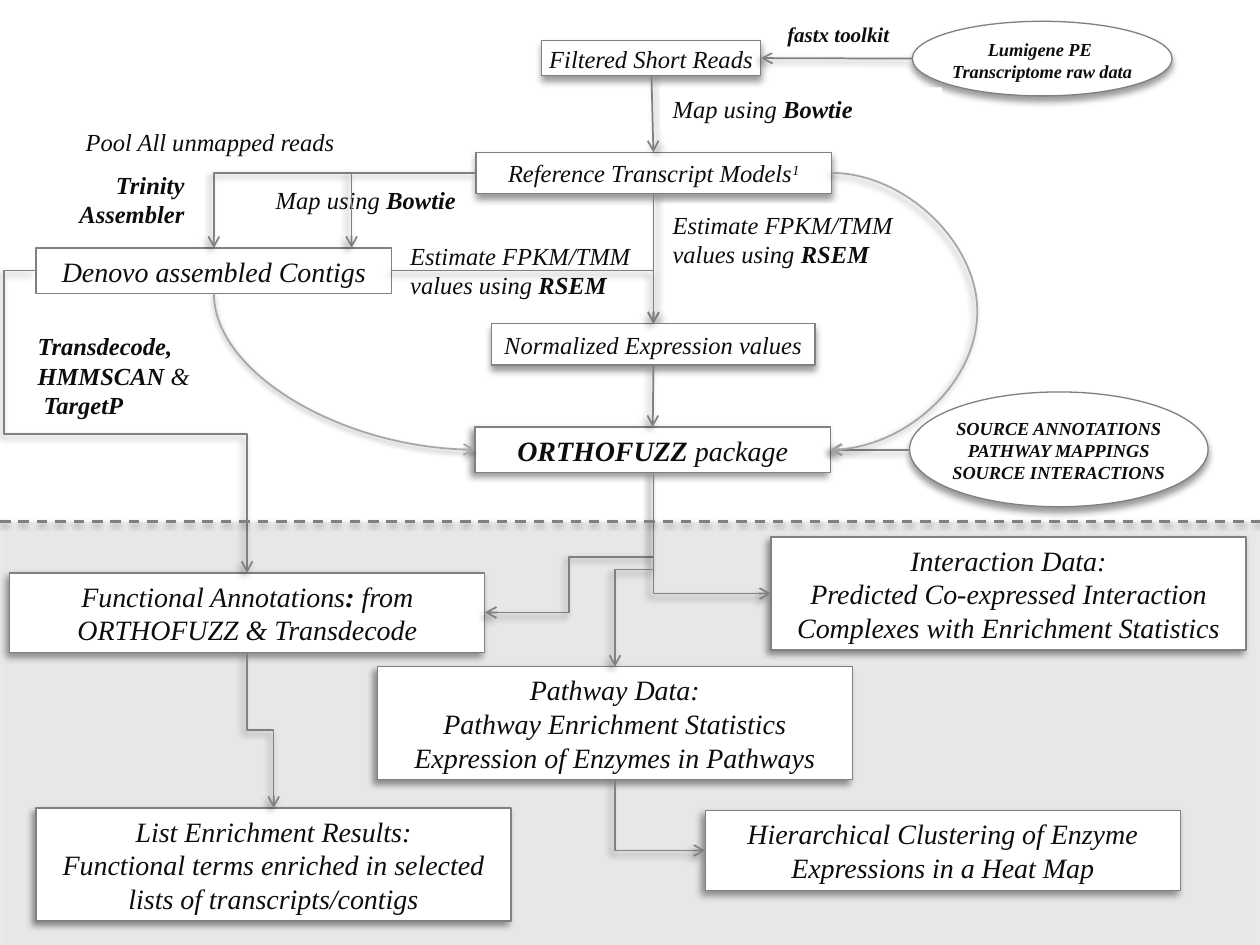
from pptx import Presentation
from pptx.dml.color import RGBColor
from pptx.enum.dml import MSO_LINE
from pptx.enum.shapes import MSO_CONNECTOR as CONN, MSO_SHAPE as SHAPE
from pptx.enum.text import MSO_ANCHOR as ANCHOR, PP_ALIGN as ALIGN
from pptx.oxml.ns import qn
from pptx.util import Pt
from lxml.etree import SubElement

WHITE = RGBColor(0xFF, 0xFF, 0xFF)
INK = RGBColor(0x0D, 0x0D, 0x0D)
GRAY = RGBColor(0x80, 0x80, 0x80)
PALE = RGBColor(0xA6, 0xA6, 0xA6)

# Shadows: opacity %, blur, distance, direction in degrees
SOFT = (38, 3.1, 1.6, 90)
DOWN = (40, 4, 3, 90)
LEFT = (40, 4, 3, 135)
RIGHT = (40, 4, 3, 45)


class Flowchart:
    font = "Times New Roman"

    def __init__(self, slide):
        self.shapes = slide.shapes

    def shadow(self, sp, style):
        """Add an effect list, empty when there is no style."""
        effects = SubElement(sp._element.spPr, qn("a:effectLst"))
        if style:
            opacity, blur, dist, angle = style
            outer = SubElement(effects, qn("a:outerShdw"), blurRad=str(Pt(blur)),
                               dist=str(Pt(dist)), dir=str(angle * 60000),
                               rotWithShape="0")
            clr = SubElement(outer, qn("a:srgbClr"), val="000000")
            SubElement(clr, qn("a:alpha"), val=str(opacity * 1000))

    def text(self, sp, text, size, align, insets, wrap, anchor):
        """Write lines in italics; *stars* toggle bold, ^ starts a superscript."""
        tf = sp.text_frame
        tf.word_wrap, tf.vertical_anchor = wrap, anchor
        (tf.margin_left, tf.margin_top,
         tf.margin_right, tf.margin_bottom) = map(Pt, insets)
        for i, line in enumerate(text.split("\n")):
            p = tf.add_paragraph() if i else tf.paragraphs[0]
            p.alignment = align
            body, _, raised = line.partition("^")
            for j, part in enumerate(body.split("*")):
                if part:
                    self.run(p, part, size, j % 2 == 1)
            if raised:
                self.run(p, raised, size, False).font._element.set("baseline", "30000")

    def run(self, p, text, size, bold):
        r = p.add_run()
        r.text = text
        f = r.font
        f.name, f.size, f.bold, f.italic = self.font, Pt(size), bold, True
        f.color.rgb = INK
        return r

    def panel(self, x, y, w, h, opacity):
        sp = self.shapes.add_shape(SHAPE.RECTANGLE, Pt(x), Pt(y), Pt(w), Pt(h))
        sp.fill.solid()
        sp.fill.fore_color.rgb = GRAY
        clr = sp._element.spPr.find(qn("a:solidFill"))[0]
        SubElement(clr, qn("a:alpha"), val=str(opacity * 1000))
        sp.line.fill.background()
        self.shadow(sp, SOFT)

    def node(self, x, y, w, h, text, size=16, shadow=LEFT, kind=SHAPE.RECTANGLE,
             insets=(6.5, 3.6, 6.5, 3.6), wrap=True, anchor=ANCHOR.TOP):
        sp = self.shapes.add_shape(kind, Pt(x), Pt(y), Pt(w), Pt(h))
        sp.fill.solid()
        sp.fill.fore_color.rgb = WHITE
        sp.line.color.rgb, sp.line.width = GRAY, Pt(0.75)
        self.shadow(sp, shadow)
        self.text(sp, text, size, ALIGN.CENTER, insets, wrap, anchor)

    def tight_node(self, x, y, w, h, text, size, kind=SHAPE.OVAL):
        self.node(x, y, w, h, text, size, DOWN, kind, (6.5, 4.5, 6.5, 3),
                  False, ANCHOR.MIDDLE)

    def label(self, x, y, w, h, text, align=ALIGN.LEFT, size=14):
        sp = self.shapes.add_textbox(Pt(x), Pt(y), Pt(w), Pt(h))
        sp.fill.solid()
        sp.fill.fore_color.rgb = WHITE
        self.text(sp, text, size, align, (7.2, 3.6, 7.2, 3.6), True, ANCHOR.TOP)

    def line(self, x1, y1, x2, y2, shadow=LEFT, color=GRAY, width=1, dash=None):
        cx = self.shapes.add_connector(CONN.STRAIGHT, Pt(x1), Pt(y1), Pt(x2), Pt(y2))
        cx.line.color.rgb, cx.line.width = color, Pt(width)
        if dash:
            cx.line.dash_style = dash
        self.shadow(cx, shadow)
        return cx

    def arrow(self, *ends, **style):
        cx = self.line(*ends, **style)
        ln = cx._element.spPr.find(qn("a:ln"))
        SubElement(ln, qn("a:tailEnd"), type="arrow")
        return cx

    def route(self, x1, y1, x2, y2, preset, adj=(), upright=False, **style):
        """Arrow with a bent or curved preset; upright ones leave downwards."""
        cx = self.arrow(x1, y1, x2, y2, **style)
        dx, dy = x2 - x1, y2 - y1
        xfrm = cx._element.spPr.find(qn("a:xfrm"))
        for flip in ("flipH", "flipV"):
            xfrm.attrib.pop(flip, None)
        if upright:
            w, h = abs(dy), abs(dx)
            cx.left, cx.top = Pt((x1 + x2 - w) / 2), Pt((y1 + y2 - h) / 2)
            cx.width, cx.height = Pt(w), Pt(h)
            xfrm.set("rot", str((270 if dx > 0 else 90) * 60000))
            if dx > 0:
                xfrm.set("flipH", "1")
        elif dx < 0:
            xfrm.set("rot", str(180 * 60000))
            xfrm.set("flipV", "1")
        geom = cx._element.spPr.find(qn("a:prstGeom"))
        geom.set("prst", preset)
        guides = geom.find(qn("a:avLst"))
        if guides is None:
            guides = SubElement(geom, qn("a:avLst"))
        for i, value in enumerate(adj, 1):
            SubElement(guides, qn("a:gd"), name=f"adj{i}",
                       fmla=f"val {round(value * 100000)}")


prs = Presentation()
prs.slide_width, prs.slide_height = Pt(720), Pt(540)
s = Flowchart(prs.slides.add_slide(prs.slide_layouts[6]))
MID = 373.4  # axis of the central flow

# Results area
s.panel(0, 298, 720, 242, 11)

# Reads and reference
s.tight_node(521.3, 12.2, 148.5, 42.6, "*Lumigene PE *\n*Transcriptome raw data*", 10.5)
s.tight_node(309.6, 23, 125, 20, "Filtered Short Reads", 14, SHAPE.RECTANGLE)
s.node(272, 87, 203.2, 23.6, "Reference Transcript Models^1", 14, DOWN)
s.arrow(372.3, 43.2, MID, 87, shadow=RIGHT)
s.arrow(521.3, 33.5, 434.9, 33.2)
s.label(440.6, 8.6, 80, 21.8, "*fastx toolkit *", ALIGN.CENTER, 12)

# Contigs and step labels
s.node(20.6, 141.7, 203.2, 26, "Denovo assembled Contigs", shadow=None)
s.label(11.5, 93.6, 101, 41, "*Trinity Assembler*", ALIGN.RIGHT)
s.label(377.3, 50, 161, 24.2, "Map using *Bowtie*")
s.label(377.3, 116.3, 161, 41, "Estimate FPKM/TMM values using *RSEM*")
s.label(129.6, 102.2, 138, 24.2, "Map using *Bowtie*", ALIGN.RIGHT)
s.label(23.8, 69.1, 174.5, 24.2, "Pool All unmapped reads", ALIGN.RIGHT)
s.route(272, 98.8, 122.2, 141.7, "bentConnector2")
s.arrow(MID, 110.6, MID, 185, shadow=RIGHT)
s.arrow(200.9, 98.8, 200.9, 141.7)

# Expression values and package
s.node(280.8, 185, 185, 23.6, "Normalized Expression values", 14, DOWN)
s.label(227.3, 134, 145, 41, "Estimate FPKM/TMM values using *RSEM*")
s.node(271.4, 244, 203.2, 26, "*ORTHOFUZZ* package")
s.tight_node(519.8, 224, 170.6, 65.6,
             "*SOURCE ANNOTATIONS*\n*PATHWAY MAPPINGS*\n*SOURCE INTERACTIONS*", 10.5)
s.arrow(519.8, 257, 474.6, 257)

# Result boxes
s.node(215.6, 381, 271.5, 64.6, "Pathway Data:\nPathway Enrichment Statistics\n"
       "Expression of Enzymes in Pathways")
s.node(440.6, 306.8, 271.5, 64.6, "Interaction Data:\n"
       "Predicted Co-expressed Interaction Complexes with Enrichment Statistics")
s.node(5.6, 327.4, 271.5, 45.6, "Functional Annotations*:* from\nORTHOFUZZ & Transdecode")

# Flows into the results
s.route(MID, 318.2, 277.1, 350, "bentConnector3", [0.5])
s.route(MID, 270, 440.6, 339.2, "bentConnector2", upright=True)
s.route(MID, 270, 351.4, 381, "bentConnector3", [0.5], upright=True)
s.route(223.8, 154.6, MID, 185, "bentConnector2")
s.route(20.6, 154.6, 141.2, 327.4, "bentConnector4", [-0.15, 0.54])
s.label(14.4, 185.8, 119.5, 58.3, "*Transdecode, HMMSCAN* &\n* TargetP*")
s.arrow(MID, 208.6, 373, 244)
s.route(475.2, 98.8, 474.5, 257, "curvedConnector3", [-117.5], color=PALE)
s.route(122.2, 167.7, 271.4, 257, "curvedConnector2", upright=True,
        color=PALE, shadow=SOFT)

# Enrichment lists, divider and heat map
s.node(20.6, 461.7, 271.5, 64.6, "List Enrichment Results:\n"
       "Functional terms enriched in selected lists of transcripts/contigs")
s.route(141.2, 373, 156.4, 461.7, "bentConnector3", [0.5], upright=True)
s.line(0, 298, 720, 298, shadow=SOFT, width=1.5, dash=MSO_LINE.DASH)
s.node(403, 463.2, 271.5, 45.6, "Hierarchical Clustering of Enzyme Expressions in a Heat Map")
s.route(351.4, 445.6, 403, 486, "bentConnector2", upright=True)

prs.save("out.pptx")
